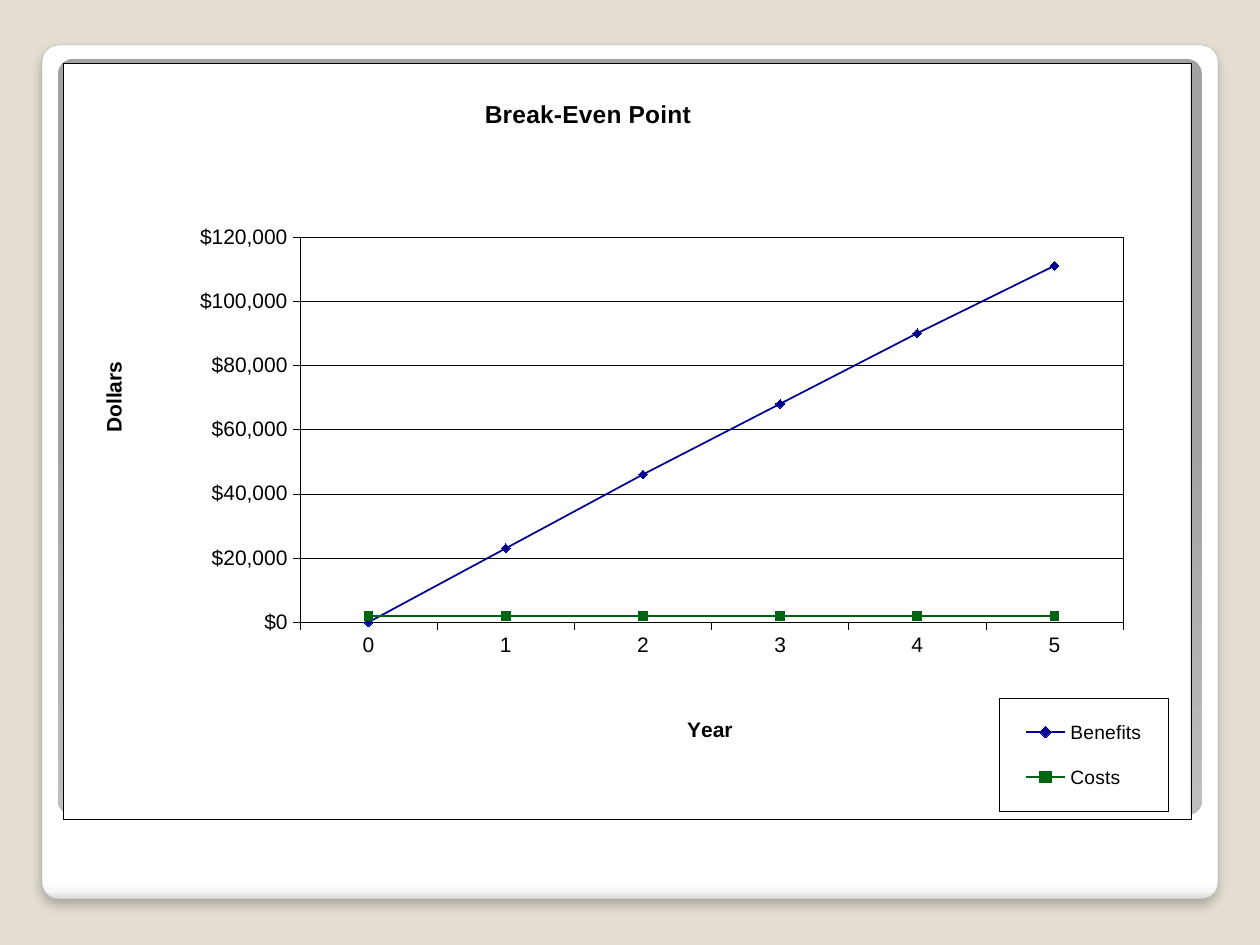
from pptx import Presentation
from pptx.chart.data import CategoryChartData
from pptx.dml.color import RGBColor
from pptx.enum.chart import XL_CHART_TYPE, XL_LEGEND_POSITION, XL_MARKER_STYLE, XL_TICK_MARK
from pptx.enum.shapes import MSO_SHAPE
from pptx.oxml import parse_xml
from pptx.oxml.ns import nsdecls, qn
from pptx.util import Pt

SCALE = 914400 / 126
BLACK = RGBColor(0, 0, 0)
WHITE = RGBColor(255, 255, 255)
SAND = RGBColor(0xE3, 0xDE, 0xD1)
GRAY = RGBColor(0xA4, 0xA4, 0xA4)
NAVY = RGBColor(0, 0, 0x90)
GREEN = RGBColor(0, 0x64, 0x11)


def px(*sizes):
    return [round(size * SCALE) for size in sizes]


def apply(item, style):
    for name, value in style.items():
        setattr(item, name, value)


class Deck:
    face = "Arial"
    thin = Pt(0.25)

    def __init__(self, width, height, color):
        self.file = Presentation()
        self.file.slide_width, self.file.slide_height = px(width, height)
        self.slide = self.file.slides.add_slide(self.file.slide_layouts[6])
        fill = self.slide.background.fill
        fill.solid()
        fill.fore_color.rgb = color

    def font(self, font, size, bold=False):
        apply(font, {"name": self.face, "size": Pt(size), "bold": bold})
        font.color.rgb = BLACK

    def line(self, line, color=BLACK, width=thin):
        line.color.rgb = color
        line.width = width

    def panel(self, box, stops, edge=None, shadow=None):
        shape = self.slide.shapes.add_shape(MSO_SHAPE.ROUNDED_RECTANGLE, *px(*box))
        shape.adjustments[0] = 0.02
        shape.shadow.inherit = False
        shape.fill.background()
        if edge:
            self.line(shape.line, edge, Pt(0.16))
        else:
            shape.line.fill.background()
        marks = "".join(f'<a:gs pos="{at * 1000}"><a:srgbClr val="{tone}"/></a:gs>'
                        for at, tone in stops)
        props = shape._element.spPr
        props.replace(props.find(qn("a:noFill")), parse_xml(
            f'<a:gradFill {nsdecls("a")}><a:gsLst>{marks}</a:gsLst>'
            '<a:lin ang="5400000" scaled="0"/></a:gradFill>'))
        if shadow:
            blur, gap, alpha = shadow
            props.find(qn("a:effectLst")).append(parse_xml(
                f'<a:outerShdw {nsdecls("a")} blurRad="{Pt(blur)}" dist="{Pt(gap)}" '
                f'dir="5400000" algn="t" rotWithShape="0"><a:srgbClr val="000000">'
                f'<a:alpha val="{alpha * 1000}"/></a:srgbClr></a:outerShdw>'))

    def place(self, node, index, spot, inner=False):
        for old in node.findall(qn("c:layout")):
            node.remove(old)
        target = '<c:layoutTarget val="inner"/>' if inner else ""
        keys = "xywh"[:len(spot)]
        modes = "".join(f'<c:{key}Mode val="edge"/>' for key in "xy")
        sizes = "".join(f'<c:{key} val="{value}"/>' for key, value in zip(keys, spot))
        node.insert(index, parse_xml(
            f'<c:layout {nsdecls("c")}><c:manualLayout>{target}{modes}{sizes}'
            '</c:manualLayout></c:layout>'))

    def frame(self, node, fill):
        paint = f'<a:solidFill><a:srgbClr val="{fill}"/></a:solidFill>' if fill else "<a:noFill/>"
        props = parse_xml(
            f'<c:spPr {nsdecls("c", "a")}>{paint}<a:ln w="{self.thin}"><a:solidFill>'
            f'<a:srgbClr val="{BLACK}"/></a:solidFill></a:ln></c:spPr>')
        text = node.find(qn("c:txPr"))
        if text is None:
            node.append(props)
        else:
            text.addprevious(props)

    def title(self, title, text, size, spot):
        title.text_frame.text = text
        self.font(title.text_frame.paragraphs[0].runs[0].font, size, True)
        self.place(title._element, 1, spot)

    def axis(self, axis, text, spot):
        apply(axis, {"has_title": True, "major_tick_mark": XL_TICK_MARK.OUTSIDE,
                     "minor_tick_mark": XL_TICK_MARK.NONE})
        self.title(axis.axis_title, text, 12, spot)
        self.font(axis.tick_labels.font, 12)
        self.line(axis.format.line)

    def chart(self, box, cats, rows):
        data = CategoryChartData(number_format='"$"#,##0')
        data.categories = cats
        for name, values, color, mark in rows:
            data.add_series(name, values)
        chart = self.slide.shapes.add_chart(
            XL_CHART_TYPE.LINE_MARKERS, *px(*box), data).chart
        self.font(chart.font, 12)
        apply(chart, {"has_title": True, "has_legend": True})
        self.frame(chart._chartSpace, WHITE)
        for series, (name, values, color, mark) in zip(chart.plots[0].series, rows):
            series.smooth = False
            self.line(series.format.line, color, Pt(1))
            apply(series.marker, {"style": mark, "size": 5})
            series.marker.format.fill.solid()
            series.marker.format.fill.fore_color.rgb = color
            self.line(series.marker.format.line, color)
        return chart

    def legend(self, legend, spot):
        apply(legend, {"position": XL_LEGEND_POSITION.RIGHT, "include_in_layout": False})
        self.font(legend.font, 11)
        self.place(legend._element, 1, spot)
        self.frame(legend._element, WHITE)


deck = Deck(1260, 945, SAND)
deck.panel((42, 45, 1176, 854),
           [(0, "FFFFFF"), (98, "FFFFFF"), (99, "F7F7F7"), (100, "DADADA")],
           GRAY, (6, 4, 25))
deck.panel((58, 59, 1144, 756), [(0, "A2A2A2"), (50, "A2A2A2"), (100, "BEBEBE")])

chart = deck.chart((63, 63, 1128, 756), [str(year) for year in range(6)], [
    ("Benefits", (0, 23000, 46000, 68000, 90000, 111000), NAVY, XL_MARKER_STYLE.DIAMOND),
    ("Costs", (2000,) * 6, GREEN, XL_MARKER_STYLE.SQUARE)])
deck.title(chart.chart_title, "Break-Even Point", 14, (0.37, 0.04))
deck.axis(chart.category_axis, "Year", (0.55, 0.86))
deck.axis(chart.value_axis, "Dollars", (0.03, 0.39))
apply(chart.value_axis, {"minimum_scale": 0, "maximum_scale": 120000, "major_unit": 20000,
                         "has_major_gridlines": True})
deck.line(chart.value_axis.major_gridlines.format.line)
apply(chart.value_axis.tick_labels, {"number_format": '"$"#,##0', "number_format_is_linked": False})
plot = chart._chartSpace.chart.plotArea
deck.place(plot, 0, (0.21, 0.23, 0.73, 0.51), True)
deck.frame(plot, None)
deck.legend(chart.legend, (0.83, 0.84, 0.15, 0.15))
deck.file.save("out.pptx")
